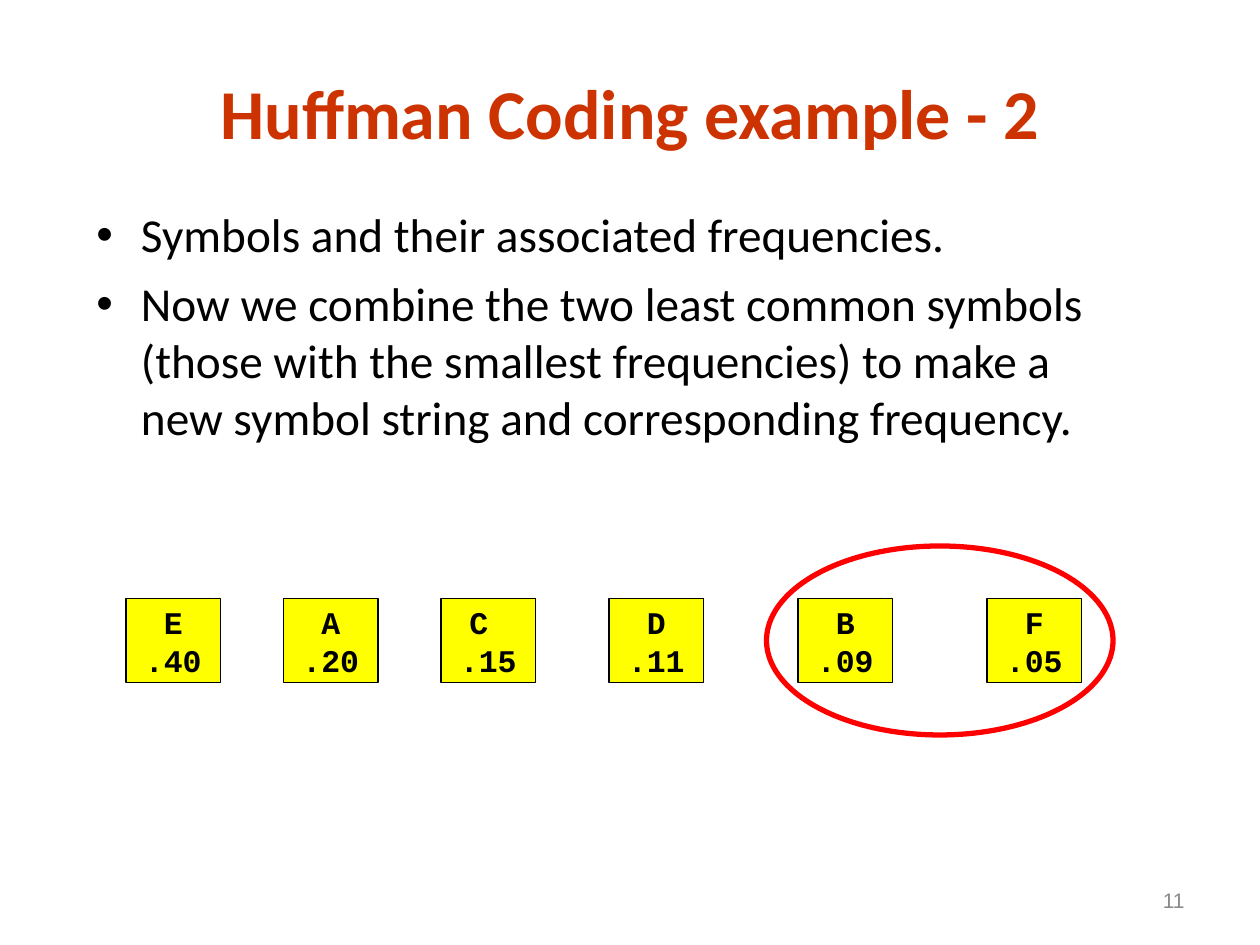
from lxml import etree
from pptx import Presentation
from pptx.dml.color import RGBColor
from pptx.enum.shapes import MSO_SHAPE
from pptx.enum.text import MSO_ANCHOR, PP_ALIGN
from pptx.oxml.ns import qn
from pptx.util import Emu, Pt

EMU_PER_PX = 9525
RECTANGLE, OVAL = MSO_SHAPE.RECTANGLE, MSO_SHAPE.OVAL
TOP, MIDDLE = MSO_ANCHOR.TOP, MSO_ANCHOR.MIDDLE
LEFT, CENTER, RIGHT = PP_ALIGN.LEFT, PP_ALIGN.CENTER, PP_ALIGN.RIGHT
BLACK = RGBColor(0x00, 0x00, 0x00)
YELLOW = RGBColor(0xFF, 0xFF, 0x00)
RED = RGBColor(0xFF, 0x00, 0x00)
RUST = RGBColor(0xCC, 0x33, 0x00)
GRAY = RGBColor(0x89, 0x89, 0x89)

CARD_WIDTH, CARD_HEIGHT = 72, 64
SYMBOLS = [
    (0, "E", ".40"),
    (120, "A", ".20"),
    (240, "C ", ".15"),
    (368, "D", ".11"),
    (512, "B", ".09"),
    (656, "F", ".05"),
]
POINTS = [
    "Symbols and their associated frequencies.",
    "Now we combine the two least common symbols (those with the smallest "
    "frequencies) to make a new symbol string and corresponding frequency.",
]


def px(length):
    return Emu(length * EMU_PER_PX)


def write(frame, lines, font, size, color, align, anchor, bold=False, wrap=True):
    frame.word_wrap = wrap
    frame.vertical_anchor = anchor
    for index, line in enumerate(lines):
        para = frame.paragraphs[0] if index == 0 else frame.add_paragraph()
        para.alignment = align
        span = para.add_run()
        span.text = line
        span.font.name = font
        span.font.size = Pt(size)
        span.font.bold = bold
        span.font.color.rgb = color


def add_text(page, box, *style, **options):
    frame = page.shapes.add_textbox(*map(px, box)).text_frame
    write(frame, *style, **options)
    return frame


def add_outline(page, kind, box, color, weight):
    shape = page.shapes.add_shape(kind, *map(px, box))
    shape.shadow.inherit = False
    shape.line.color.rgb = color
    shape.line.width = Pt(weight)
    return shape


def add_bullet(para, indent):
    para.space_before = Pt(6.8)
    properties = para._p.get_or_add_pPr()
    properties.set("marL", str(px(indent)))
    properties.set("indent", str(px(-indent)))
    etree.SubElement(properties, qn("a:buFont")).set("typeface", "Arial")
    etree.SubElement(properties, qn("a:buChar")).set("char", "•")


def add_points(page, box):
    frame = add_text(page, box, POINTS, "Calibri", 27, BLACK, LEFT, TOP)
    for para in frame.paragraphs:
        add_bullet(para, 34)


def add_symbol_row(page, left, top):
    for offset, symbol, frequency in SYMBOLS:
        box = (left + offset, top, CARD_WIDTH, CARD_HEIGHT)
        card = add_outline(page, RECTANGLE, box, BLACK, 1)
        card.fill.solid()
        card.fill.fore_color.rgb = YELLOW
        write(card.text_frame, [symbol, frequency], "Courier New", 18, BLACK,
              CENTER, MIDDLE, bold=True, wrap=False)


def add_ring(page, box):
    add_outline(page, OVAL, box, RED, 3).fill.background()


def main():
    deck = Presentation()
    deck.slide_width, deck.slide_height = px(960), px(720)
    page = deck.slides.add_slide(deck.slide_layouts[6])
    add_symbol_row(page, 96, 456)
    add_points(page, (64, 152, 816, 192))
    add_ring(page, (584, 416, 264, 144))
    add_text(page, (72, 48, 816, 74), ["Huffman Coding example - 2"],
             "Calibri", 40, RUST, CENTER, MIDDLE, bold=True)
    add_text(page, (688, 667, 224, 38), ["11"], "Arial", 12, GRAY, RIGHT, MIDDLE)
    deck.save("out.pptx")


if __name__ == "__main__":
    main()
